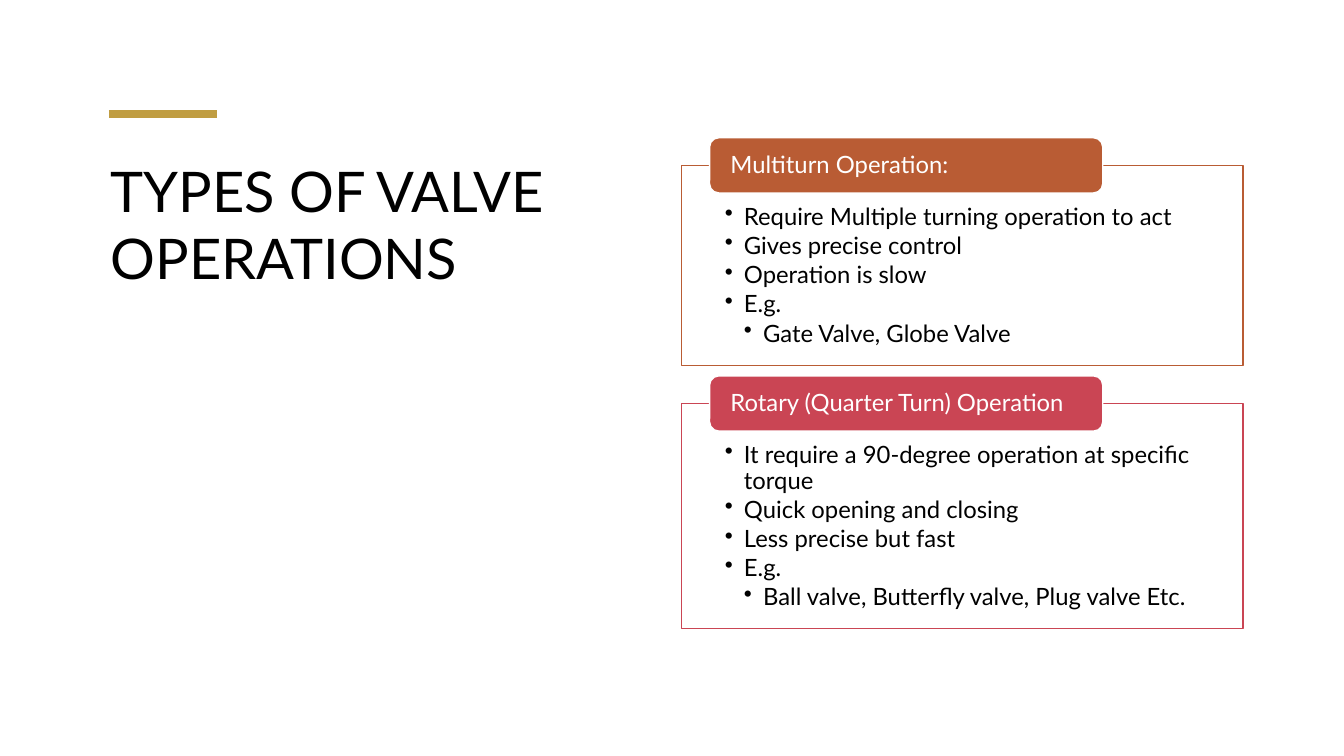
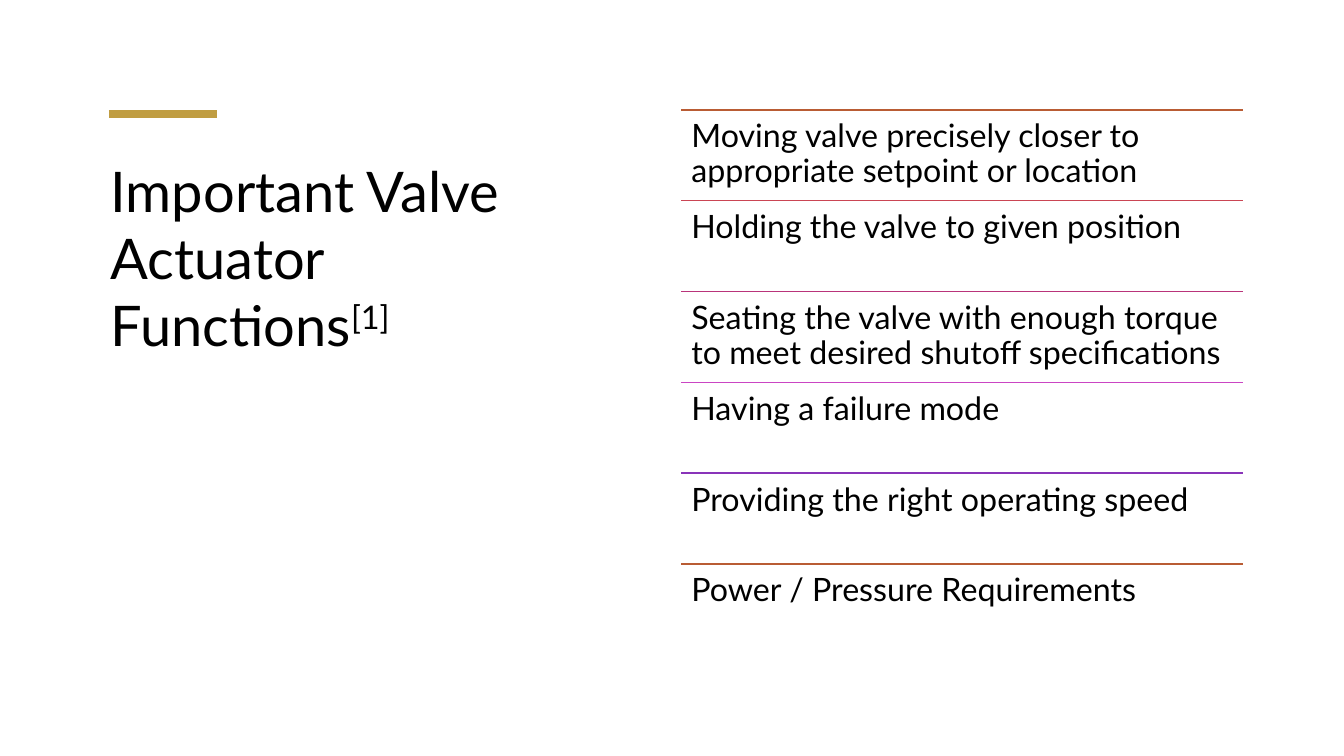
from dataclasses import dataclass

from pptx import Presentation, util as u
from pptx.dml.color import RGBColor
from pptx.enum import shapes, text
from pptx.oxml import ns
from lxml import etree


@dataclass(frozen=True)
class Theme:
    font: str = "Lato"
    ink: str = "000000"
    paper: str = "FFFFFF"
    gold: str = "C09D42"
    accents: tuple = ("B95C34", "CA4554", "B9347A", "CA45C3", "8934B9")
    title: int = 40
    row: int = 23
    body: int = 17


T = Theme()
LEFT, WIDTH = 50.7, 41.8


def rgb(value):
    return RGBColor.from_string(value)


def write(p, content, size=T.body, color=T.ink, spacing=0.9, after=0, level=None, baseline=None):
    p.alignment = text.PP_ALIGN.LEFT
    p.line_spacing = spacing
    p.space_after = u.Pt(after)
    if level is not None:
        props = p._p.get_or_add_pPr()
        props.set("marL", str(u.Inches(0.19 * (level + 1))))
        props.set("indent", str(-u.Inches(0.19)))
        etree.SubElement(props, ns.qn("a:buChar")).set("char", "•")
    r = p.add_run()
    r.text = content
    r.font.name = T.font
    r.font.size = u.Pt(size)
    r.font.color.rgb = rgb(color)
    if baseline:
        r.font._element.set("baseline", str(baseline * 1000))


class Deck:
    def __init__(self):
        self.prs = Presentation()
        self.prs.slide_width = u.Inches(13.33)
        self.prs.slide_height = u.Inches(7.5)
        self.s = None

    def x(self, share):
        return u.Emu(round(self.prs.slide_width * share / 100))

    def y(self, share):
        return u.Emu(round(self.prs.slide_height * share / 100))

    def area(self, left, top, width, height):
        return self.x(left), self.y(top), self.x(width), self.y(height)

    def frame(self, sp, insets, anchor=text.MSO_ANCHOR.TOP):
        tf = sp.text_frame
        tf.word_wrap = True
        tf.vertical_anchor = anchor
        tf.margin_left, tf.margin_top, tf.margin_right, tf.margin_bottom = map(u.Inches, insets)
        return tf

    def textbox(self, area, insets):
        return self.frame(self.s.shapes.add_textbox(*self.area(*area)), insets)

    def block(self, kind, area, fill, line):
        sp = self.s.shapes.add_shape(kind, *self.area(*area))
        sp.shadow.inherit = False
        sp.fill.solid()
        sp.fill.fore_color.rgb = rgb(fill)
        sp.line.color.rgb = rgb(line)
        sp.line.width = u.Pt(1)
        return sp

    def rule(self, left, top, width, color, weight=1):
        start, end, level = self.x(left), self.x(left + width), self.y(top)
        line = self.s.shapes.add_connector(shapes.MSO_CONNECTOR.STRAIGHT, start, level, end, level)
        line.line.color.rgb = rgb(color)
        line.line.width = u.Pt(weight)
        etree.SubElement(line._element.spPr, ns.qn("a:effectLst"))

    def slide(self, title, note=None):
        self.s = self.prs.slides.add_slide(self.prs.slide_layouts[6])
        p = self.textbox((7.5, 20, 37.2, 46.8), (0.1, 0.05, 0.1, 0.05)).paragraphs[0]
        write(p, title, size=T.title, spacing=1.0)
        if note:
            write(p, note, size=T.title, spacing=1.0, baseline=30)
        self.rule(8.1, 15.07, 8.05, T.gold, weight=6)

    def panel(self, top, height, color, heading, items):
        box = self.block(shapes.MSO_SHAPE.RECTANGLE, (LEFT, top, WIDTH, height), T.paper, color)
        tf = self.frame(box, (0.43, 0.39, 0.43, 0.13))
        for i, (level, item) in enumerate(items):
            p = tf.add_paragraph() if i else tf.paragraphs[0]
            write(p, item, after=2.5, level=level)
        tab = self.block(shapes.MSO_SHAPE.ROUNDED_RECTANGLE,
                         (LEFT + 2.1, top - 3.65, 29.25, 7.3), color, T.paper)
        tf = self.frame(tab, (0.18, 0, 0.18, 0), text.MSO_ANCHOR.MIDDLE)
        write(tf.paragraphs[0], heading, color=T.paper)

    def row(self, top, height, color, content):
        self.rule(LEFT, top, WIDTH, color)
        tf = self.textbox((LEFT, top, WIDTH, height), (0.1, 0.1, 0.1, 0.1))
        write(tf.paragraphs[0], content, size=T.row)


OPERATIONS = (
    (26.5, "Multiturn Operation:", (
        (0, "Require Multiple turning operation to act"),
        (0, "Gives precise control"),
        (0, "Operation is slow"),
        (0, "E.g."),
        (1, "Gate Valve, Globe Valve"))),
    (29.75, "Rotary (Quarter Turn) Operation", (
        (0, "It require a 90-degree operation at specific torque"),
        (0, "Quick opening and closing"),
        (0, "Less precise but fast"),
        (0, "E.g."),
        (1, "Ball valve, Butterfly valve, Plug valve Etc."))),
)

FUNCTIONS = (
    "Moving valve precisely closer to appropriate setpoint or location",
    "Holding the valve to given position",
    "Seating the valve with enough torque to meet desired shutoff specifications",
    "Having a failure mode",
    "Providing the right operating speed",
    "Power / Pressure Requirements",
)

deck = Deck()

deck.slide("TYPES OF VALVE OPERATIONS")
panel_top, panel_gap = 21.87, 5
for color, (height, heading, items) in zip(T.accents, OPERATIONS):
    deck.panel(panel_top, height, color, heading, items)
    panel_top += height + panel_gap

deck.slide("Important Valve Actuator Functions", note="[1]")
row_height = 12.01
for i, content in enumerate(FUNCTIONS):
    deck.row(14.55 + i * row_height, row_height, T.accents[i % len(T.accents)], content)

deck.prs.save("out.pptx")
